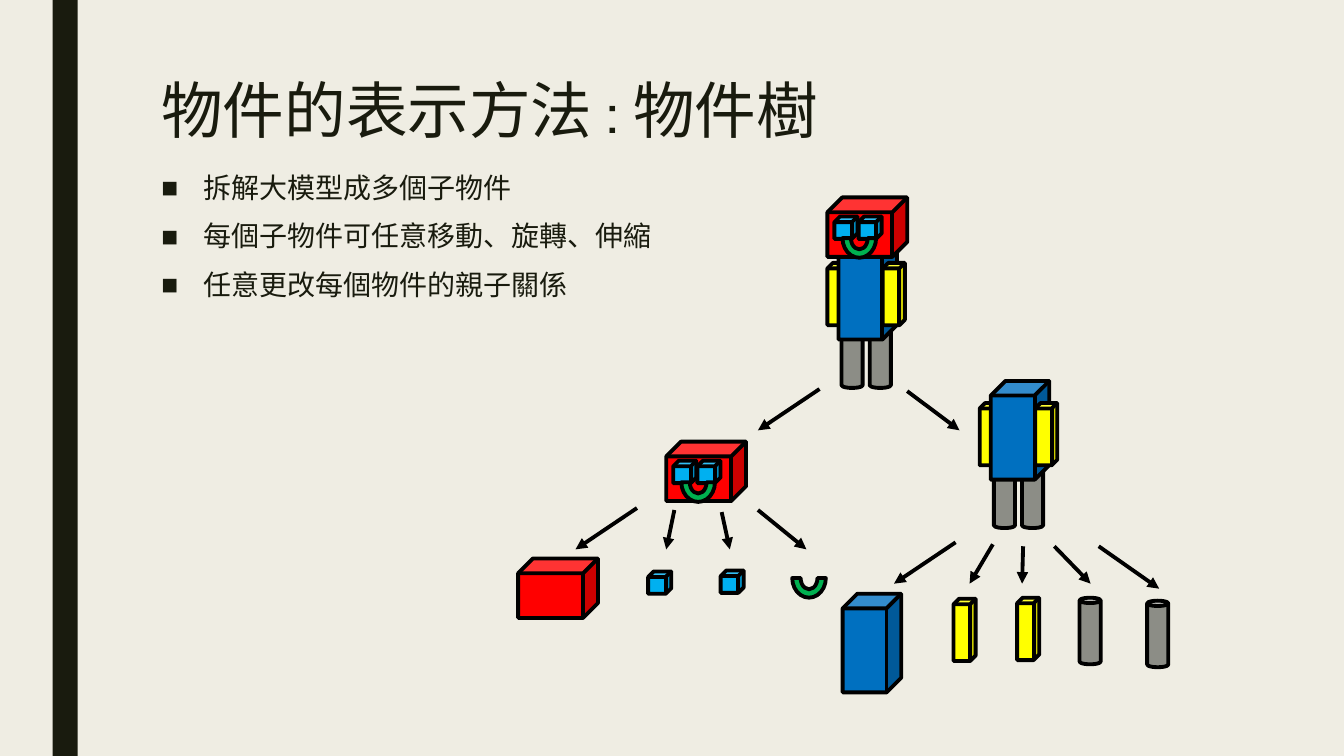
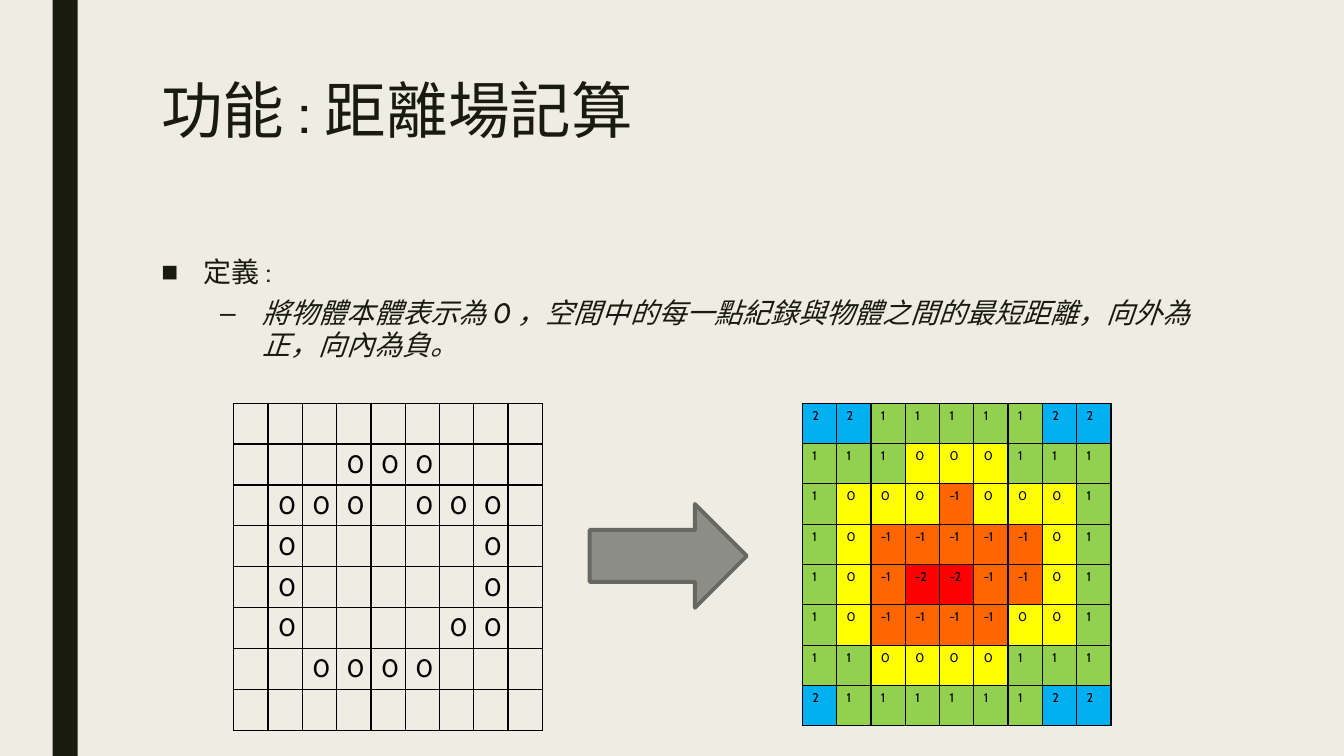
from dataclasses import dataclass

from lxml.etree import SubElement as Sub, fromstring as parse_xml
from pptx import Presentation
from pptx.dml.color import RGBColor as RGB
from pptx.enum.shapes import MSO_CONNECTOR as Link, MSO_SHAPE as Form
from pptx.enum.text import MSO_ANCHOR as Anchor, MSO_AUTO_SIZE as Fit, PP_ALIGN as Align
from pptx.oxml.ns import nsdecls, qn
from pptx.util import Pt

FONT = "Cabin"
HEX = {
    "paper": "EFEDE3", "ink": "191B0E", "black": "000000", "gray": "8C8D86",
    "edge": "686863", "red": "FF0000", "blue": "0070C0", "sky": "00B0F0",
    "green": "00B050", "yellow": "FFFF00", "lime": "92D050", "orange": "FF6600",
}
HEAT = {"2": "sky", "1": "lime", "0": "yellow", "-1": "orange", "-2": "red"}
FIELD = [row.split() for row in (
    "2 2 1 1 1 1 1 2 2",
    "1 1 1 0 0 0 1 1 1",
    "1 0 0 0 -1 0 0 0 1",
    "1 0 -1 -1 -1 -1 -1 0 1",
    "1 0 -1 -2 -2 -1 -1 0 1",
    "1 0 -1 -1 -1 -1 0 0 1",
    "1 1 0 0 0 0 1 1 1",
    "2 1 1 1 1 1 1 2 2",
)]


@dataclass(frozen=True)
class Block:
    """Look of one kind of model block."""
    form: Form
    fill: str
    wide: float
    high: float
    turn: float = 0


@dataclass(frozen=True)
class Spot:
    """A block and its place."""
    block: Block
    x: float
    y: float


@dataclass(frozen=True)
class Item:
    """A list entry and its indent rules."""
    text: str
    level: int = 0
    mark: str = "■"
    left: float = 30
    before: float = 10
    italic: bool = False


HEAD = Block(Form.CUBE, "red", 57, 42.5)
EYE = Block(Form.CUBE, "sky", 16.5, 16)
MOUTH = Block(Form.BLOCK_ARC, "green", 24, 28, 180)
TORSO = Block(Form.CUBE, "blue", 41.8, 70.5)
ARM = Block(Form.CUBE, "yellow", 15.8, 44.5)
LEG = Block(Form.CAN, "gray", 15.1, 47.5)

FACE = [Spot(HEAD, 0, 0), Spot(EYE, 5, 13.7), Spot(EYE, 22.3, 13.7), Spot(MOUTH, 10.8, 15.1)]
TRUNK = [Spot(ARM, 0, 46.8), Spot(LEG, 30.2, 88.6), Spot(LEG, 10.1, 88.6), Spot(TORSO, 7.9, 31)]
FRONT = [Spot(ARM, 39.6, 46.8)]
LEAVES = [
    Spot(HEAD, 370.1, 398.9), Spot(EYE, 463, 408.2), Spot(EYE, 514.8, 407.5),
    Spot(MOUTH, 565.9, 398.9), Spot(TORSO, 601.9, 424.1), Spot(ARM, 681.1, 427.7),
    Spot(ARM, 726.5, 427), Spot(LEG, 771.1, 427), Spot(LEG, 819.4, 429.1),
]
ARROWS = [
    (585.4, 277.9, 541.4, 307.4), (648, 279.4, 685.4, 307.4),
    (455, 362.9, 411.1, 392.4), (481.7, 364.3, 475.9, 392.4),
    (515.5, 365.8, 521.3, 392.4), (541.4, 364.3, 576, 392.4),
    (682.6, 387.4, 638.6, 416.9), (709.2, 388.8, 692.6, 416.9),
    (730.8, 390.2, 730.1, 416.9), (753.1, 390.2, 779, 416.9),
    (784.8, 390.2, 828, 420.5),
]


def tint(name: str) -> RGB:
    """Return a named colour."""
    return RGB.from_string(HEX[name])


def write(para, text: str, *, size: float, color: str = "ink", italic: bool = False,
          line: float = 1, before: float = 0, after: float = 0) -> None:
    """Add formatted text to a paragraph."""
    para.alignment = Align.LEFT
    para.line_spacing = line
    para.space_before, para.space_after = Pt(before), Pt(after)
    run = para.add_run()
    run.text = text
    font = run.font
    font.name, font.size, font.italic = FONT, Pt(size), italic
    font.color.rgb = tint(color)


def draw(shapes, form: Form, x: float, y: float, wide: float, high: float,
         fill: str, edge: str = "", turn: float = 0):
    """Draw a filled shape, outlined if an edge colour is given."""
    shape = shapes.add_shape(form, Pt(x), Pt(y), Pt(wide), Pt(high))
    shape.shadow.inherit = False
    shape.rotation = turn
    shape.fill.solid()
    shape.fill.fore_color.rgb = tint(fill)
    if edge:
        shape.line.color.rgb = tint(edge)
        shape.line.width = Pt(2.75)
    else:
        shape.line.fill.background()
    return shape


def build(shapes, spots: list[Spot], x: float = 0, y: float = 0) -> None:
    """Draw blocks relative to a common corner."""
    for spot in spots:
        block = spot.block
        draw(shapes, block.form, x + spot.x, y + spot.y, block.wide, block.high,
             block.fill, "black", block.turn)


def arrow(shapes, x: float, y: float, to_x: float, to_y: float) -> None:
    """Draw a straight arrow."""
    link = shapes.add_connector(Link.STRAIGHT, Pt(x), Pt(y), Pt(to_x), Pt(to_y))
    link.line.color.rgb = tint("black")
    link.line.width = Pt(2.75)
    props = link.element.spPr
    Sub(props.find(qn("a:ln")), qn("a:tailEnd"), type="triangle")
    Sub(props, qn("a:effectLst"))


def frame(holder, y: float, high: float):
    """Place a placeholder and return its text frame."""
    holder.left, holder.top = Pt(108), Pt(y)
    holder.width, holder.height = Pt(756), Pt(high)
    text = holder.text_frame
    text.word_wrap = True
    text.auto_size = Fit.NONE
    text.vertical_anchor = Anchor.TOP
    return text


def page(deck, title: str, high: float, items: list[Item], y: float, tall: float):
    """Add a slide with a title and a list."""
    slide = deck.slides.add_slide(deck.slide_layouts[1])
    head, body = slide.placeholders
    write(frame(head, 54, high).paragraphs[0], title, size=44, line=0.89)
    text = frame(body, y, tall)
    for spot, item in enumerate(items):
        para = text.add_paragraph() if spot else text.paragraphs[0]
        para.level = item.level
        write(para, item.text, size=20, italic=item.italic, line=0.94,
              before=item.before, after=2)
        props = para._p.get_or_add_pPr()
        props.set("marL", str(Pt(item.left)))
        props.set("indent", str(Pt(-30)))
        Sub(props, qn("a:buChar"), char=item.mark)
    return slide


def grid(slide, x: float, rows: list[list[str]], size: float, heat: dict[str, str]) -> None:
    """Add a bordered table, coloured by cell value."""
    count, wide = len(rows), len(rows[0])
    holder = slide.shapes.add_table(count, wide, Pt(x), Pt(288), Pt(220.5), Pt(230.4))
    table = holder.table
    table.first_row = table.horz_banding = False
    for col in table.columns:
        col.width = Pt(24.5)
    for r, row in enumerate(rows):
        table.rows[r].height = Pt(28.8)
        for c, value in enumerate(row):
            cell = table.cell(r, c)
            if value in heat:
                cell.fill.solid()
                cell.fill.fore_color.rgb = tint(heat[value])
            else:
                cell.fill.background()
            if value:
                write(cell.text_frame.paragraphs[0], value, size=size, color="black")
    for props in holder.element.iter(qn("a:tcPr")):
        for spot, side in enumerate("LRTB"):
            props.insert(spot, parse_xml(
                f'<a:ln{side} {nsdecls("a")} w="{Pt(1)}"><a:solidFill>'
                f'<a:srgbClr val="{HEX["black"]}"/></a:solidFill></a:ln{side}>'))


def tree(deck) -> None:
    """Build the object tree slide."""
    items = [Item("拆解大模型成多個子物件"), Item("每個子物件可任意移動、旋轉、伸縮"),
             Item("任意更改每個物件的親子關係")]
    slide = page(deck, "物件的表示方法 : 物件樹", 58.3, items, 120.2, 342)
    shapes = slide.shapes.add_group_shape().shapes
    build(shapes, TRUNK + FACE + FRONT, 591, 141)
    build(shapes, FACE, 475.9, 315.4)
    build(shapes, TRUNK + FRONT, 699.8, 241.1)
    build(shapes, LEAVES)
    for ends in ARROWS:
        arrow(shapes, *ends)


def field(deck) -> None:
    """Build the distance field slide."""
    items = [Item("定義 :"),
             Item("將物體本體表示為 0 ，空間中的每一點紀錄與物體之間的最短距離，向外為正，向內為負。",
                  level=1, mark="–", left=72, before=5, italic=True)]
    slide = page(deck, "功能 : 距離場記算", 116.6, items, 180, 282)
    grid(slide, 573.1, FIELD, 9, HEAT)
    hull = [[value if value == "0" else "" for value in row] for row in FIELD]
    grid(slide, 167, hull, 18, {})
    draw(slide.shapes, Form.RIGHT_ARROW, 421.2, 360, 112.3, 74.2, "gray", "edge")


def main() -> None:
    """Build and save the deck."""
    deck = Presentation()
    deck.slide_width, deck.slide_height = Pt(960), Pt(540)
    master = deck.slide_master
    master.background.fill.solid()
    master.background.fill.fore_color.rgb = tint("paper")
    tree(deck)
    field(deck)
    band = draw(deck.slides[0].shapes, Form.RECTANGLE, 37.5, 0, 18, 540, "ink")
    master.shapes.element.append(band.element)
    deck.save("out.pptx")


main()
